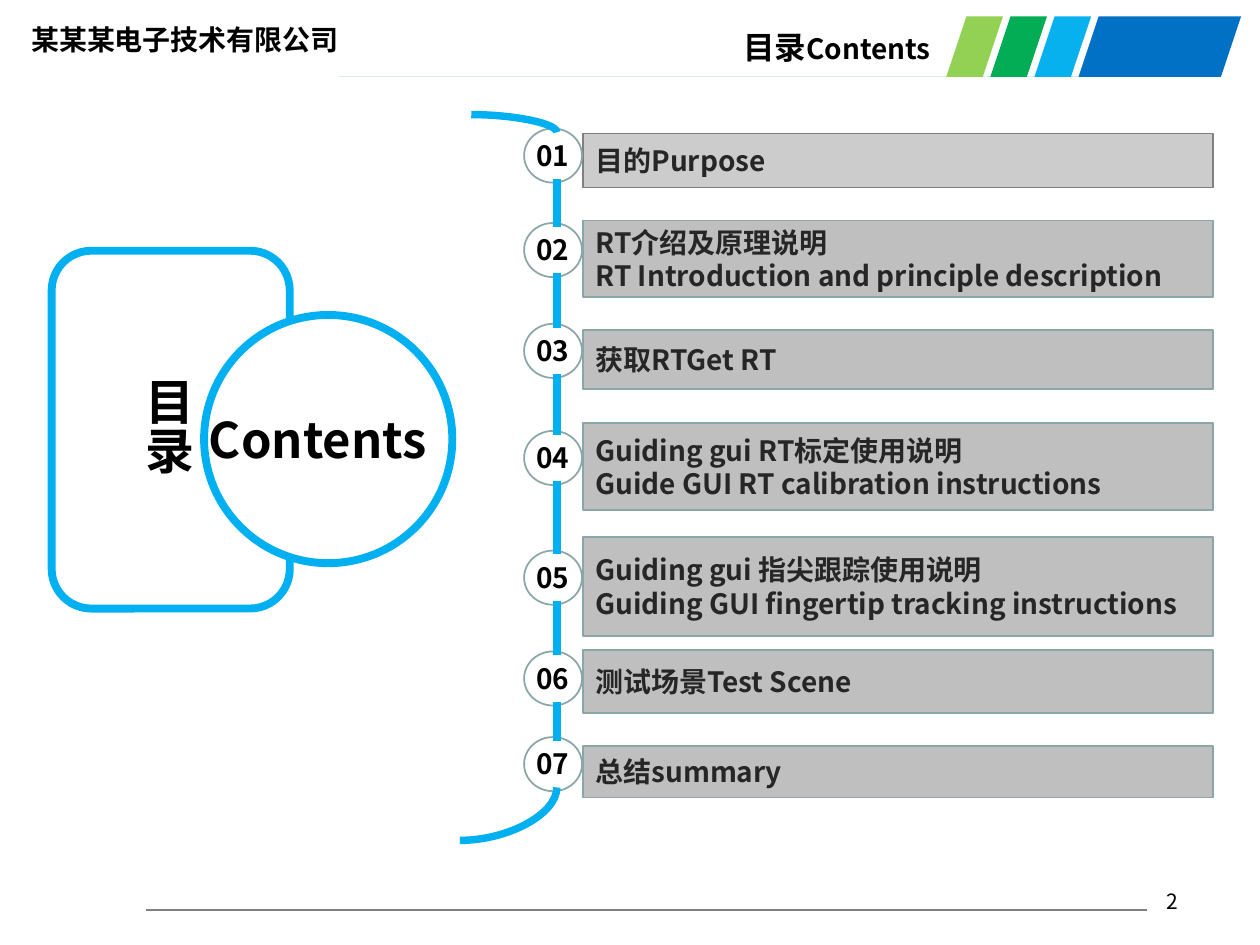
from typing import NamedTuple

from lxml import etree
from pptx import Presentation
from pptx.dml.color import RGBColor
from pptx.enum import shapes, text
from pptx.oxml.ns import qn
from pptx.util import Inches, Pt

FONT = "Noto Sans CJK SC"
SKY, TEAL, GREY = "00B0F0", "8AA6A8", "BFBFBF"
BLACK, WHITE = "000000", "FFFFFF"
RAIL_X = 4.42
NUMBER_WIDTH, NUMBER_HEIGHT = 0.52, 0.37


class Entry(NamedTuple):
    lines: list[str]
    bar_top: float
    bar_height: float
    circle_top: float
    fill: str = GREY
    outline: str = TEAL


class Stripe(NamedTuple):
    left: float
    width: float
    color: str


ENTRIES = [
    Entry(["目的Purpose"], 1.06, 0.43, 1.02, "CCCCCC", "808080"),
    Entry(["RT介绍及原理说明", "RT Introduction and principle description"], 1.75, 0.61, 1.77),
    Entry(["获取RTGet RT"], 2.62, 0.47, 2.57),
    Entry(["Guiding gui RT标定使用说明", "Guide GUI RT calibration instructions"], 3.36, 0.69, 3.42),
    Entry(["Guiding gui 指尖跟踪使用说明", "Guiding GUI fingertip tracking instructions"],
          4.26, 0.79, 4.37),
    Entry(["测试场景Test Scene"], 5.16, 0.5, 5.17),
    Entry(["总结summary"], 5.92, 0.41, 5.85),
]
STRIPES = [
    Stripe(8.56, 1.29, "0071C5"),
    Stripe(8.21, 0.45, "06B1EE"),
    Stripe(7.86, 0.45, "03AD55"),
    Stripe(7.51, 0.45, "93D154"),
]


def rgb(color: str) -> RGBColor:
    return RGBColor.from_string(color)


def add_run(paragraph, words: str, size: float, color: str = BLACK, bold: bool = True) -> None:
    run = paragraph.add_run()
    run.text = words
    for name, value in {"size": Pt(size), "bold": bold, "name": FONT}.items():
        setattr(run.font, name, value)
    run.font.color.rgb = rgb(color)
    etree.SubElement(run.font._element, qn("a:ea"), typeface=FONT)


def format_frame(frame, **changes) -> None:
    values = {"word_wrap": True, "auto_size": text.MSO_AUTO_SIZE.NONE,
              "vertical_anchor": text.MSO_ANCHOR.TOP} | changes
    for name, value in values.items():
        setattr(frame, name, value)


def add_label(slide, box: tuple, words: str, size: float, bold: bool = True, **changes):
    label = slide.shapes.add_textbox(*map(Inches, box))
    format_frame(label.text_frame, **changes)
    add_run(label.text_frame.paragraphs[0], words, size, bold=bold)
    return label


def add_outlined(slide, kind, box: tuple, fill: str, outline: str, width: float):
    shape = slide.shapes.add_shape(kind, *map(Inches, box))
    shape.shadow.inherit = False
    shape.fill.solid()
    shape.fill.fore_color.rgb = rgb(fill)
    shape.line.color.rgb = rgb(outline)
    shape.line.width = Pt(width)
    return shape


def add_line(slide, start: tuple, end: tuple, color: str, width: float,
             kind=shapes.MSO_CONNECTOR.STRAIGHT):
    line = slide.shapes.add_connector(kind, *map(Inches, start + end))
    line.line.color.rgb = rgb(color)
    line.line.width = Pt(width)
    etree.SubElement(line._element.spPr, qn("a:effectLst"))
    return line


def add_arc(slide, start: tuple, end: tuple) -> None:
    arc = add_line(slide, start, end, SKY, 4.25, shapes.MSO_CONNECTOR.CURVE)
    arc._element.spPr.find(qn("a:prstGeom")).set("prst", "curvedConnector2")


def add_stripe(slide, stripe: Stripe) -> None:
    top, bottom, slant = 0.13, 0.61, 0.16
    right = stripe.left + stripe.width
    corners = [(right, top), (right - slant, bottom), (stripe.left, bottom)]
    builder = slide.shapes.build_freeform(Inches(stripe.left + slant), Inches(top))
    builder.add_line_segments([(Inches(x), Inches(y)) for x, y in corners], close=True)
    shape = builder.convert_to_shape()
    shape.shadow.inherit = False
    shape.fill.solid()
    shape.fill.fore_color.rgb = rgb(stripe.color)
    shape.line.fill.background()


def add_bar(slide, entry: Entry) -> None:
    bar = add_outlined(slide, shapes.MSO_SHAPE.RECTANGLE,
                       (4.63, entry.bar_top, 5, entry.bar_height), entry.fill, entry.outline, 1)
    frame = bar.text_frame
    format_frame(frame, vertical_anchor=text.MSO_ANCHOR.MIDDLE)
    for index, words in enumerate(entry.lines):
        paragraph = frame.add_paragraph() if index else frame.paragraphs[0]
        paragraph.alignment = text.PP_ALIGN.LEFT
        add_run(paragraph, words, 16, "262626")


def add_number(slide, number: int, top: float):
    add_outlined(slide, shapes.MSO_SHAPE.OVAL, (4.16, top, 0.46, 0.43), WHITE, TEAL, 1)
    return add_label(slide, (4.16, top + 0.03, NUMBER_WIDTH, NUMBER_HEIGHT), f"{number:02}", 16)


def main() -> None:
    deck = Presentation()
    deck.slide_width, deck.slide_height = Inches(10), Inches(7.5)
    slide = deck.slides.add_slide(deck.slide_layouts[5])

    # Footer and header
    page = add_label(slide, (8.94, 7, 0.51, 0.3), "2", 12, bold=False,
                     vertical_anchor=text.MSO_ANCHOR.MIDDLE)
    page.text_frame.paragraphs[0].alignment = text.PP_ALIGN.RIGHT
    add_line(slide, (1.16, 7.22), (9.1, 7.22), "808080", 1)
    add_line(slide, (2.69, 0.61), (9.6, 0.61), "D9EDEE", 0.75)
    for stripe in STRIPES:
        add_stripe(slide, stripe)
    add_label(slide, (0.15, 0.13, 3.03, 0.37), "某某某电子技术有限公司", 16)

    # Title
    title = slide.shapes.title
    box = {"left": 5.8, "top": 0.17, "width": 2.27, "height": 0.44}
    for name, value in box.items():
        setattr(title, name, Inches(value))
    format_frame(title.text_frame)
    heading = title.text_frame.paragraphs[0]
    heading.alignment = text.PP_ALIGN.LEFT
    add_run(heading, "目录", 18)
    add_run(heading, "Contents", 16)

    # Emblem on the left
    add_outlined(slide, shapes.MSO_SHAPE.ROUNDED_RECTANGLE, (0.41, 1.99, 1.89, 2.84),
                 WHITE, SKY, 4.5)
    vertical = add_label(slide, (0.95, 2.9, 0.67, 1.7), "目录", 28)
    vertical.text_frame._txBody.bodyPr.set("vert", "eaVert")
    add_outlined(slide, shapes.MSO_SHAPE.OVAL, (1.62, 2.5, 1.97, 1.97), WHITE, SKY, 4.5)
    add_label(slide, (1.56, 3.2, 2.09, 0.57), "Contents", 28)

    # Entries with their numbers
    for entry in ENTRIES:
        add_bar(slide, entry)
    numbers = [add_number(slide, index, entry.circle_top)
               for index, entry in enumerate(ENTRIES, 1)]

    # Rail through the numbers
    add_arc(slide, (3.74, 0.91), (RAIL_X, 1.05))
    for upper, lower in zip(numbers, numbers[1:]):
        link = add_line(slide, (RAIL_X, 0), (RAIL_X, 1), SKY, 4.25)
        link.begin_connect(upper, 2)
        link.end_connect(lower, 0)
    add_arc(slide, (3.65, 6.67), (RAIL_X, 6.25))

    deck.save("out.pptx")


if __name__ == "__main__":
    main()
